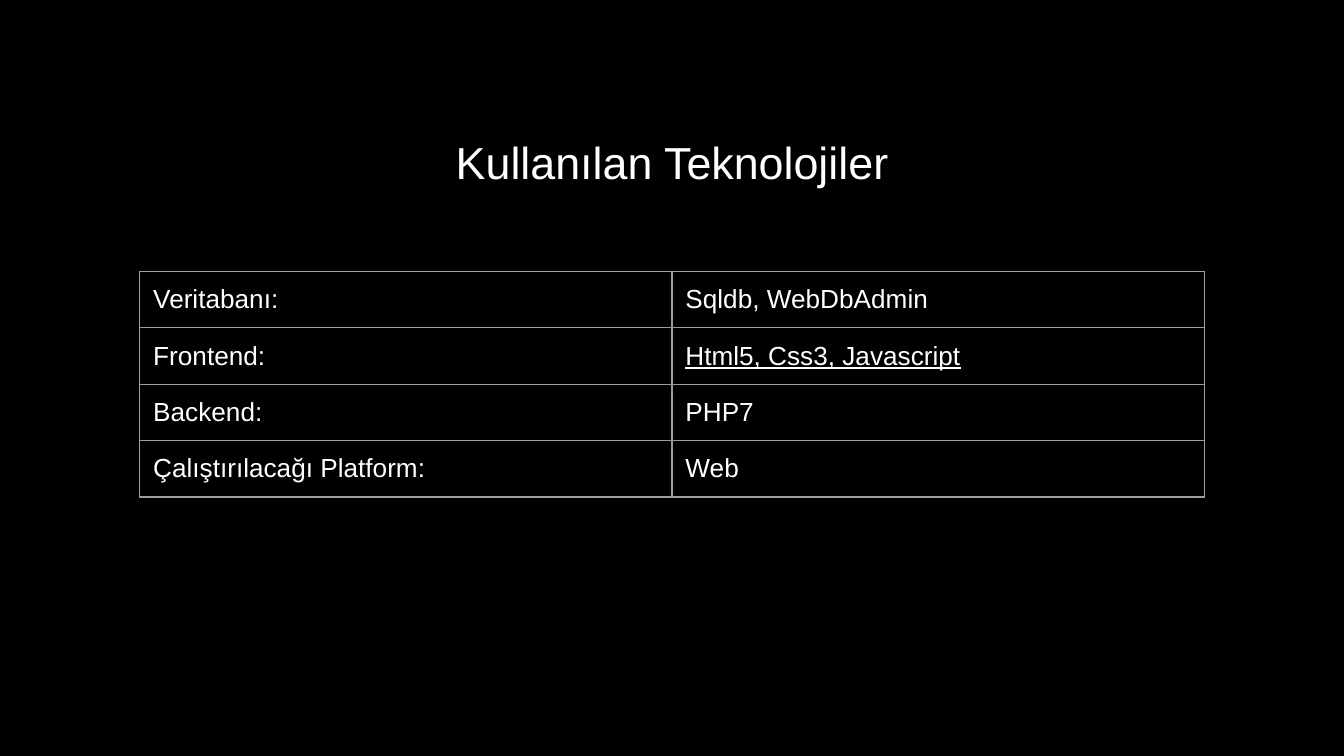
"""Build a slide with a title and a table of technologies."""
import pptx
import pptx.dml.color
import pptx.enum.text
import pptx.oxml.ns
import pptx.util
from lxml import etree

Inches = pptx.util.Inches
COLORS = {"back": "000000", "text": "FFFFFF", "line": "9E9E9E"}
FONT = "Arial"
TITLE = "Kullanılan Teknolojiler"
ROWS = [
    ("Veritabanı:", "Sqldb, WebDbAdmin"),
    ("Frontend:", "Html5, Css3, Javascript"),
    ("Backend:", "PHP7"),
    ("Çalıştırılacağı Platform:", "Web"),
]
LINED = {"Html5, Css3, Javascript"}


def color(name):
    """Return the named colour."""
    return pptx.dml.color.RGBColor.from_string(COLORS[name])


def style(frame, size, lined=False):
    """Format every run of a text frame."""
    for para in frame.paragraphs:
        for run in para.runs:
            font = run.font
            font.name = FONT
            font.size = pptx.util.Pt(size)
            font.color.rgb = color("text")
            font.underline = lined


def inset(item, gap):
    """Give a cell or text frame equal margins."""
    item.margin_left = item.margin_right = Inches(gap)
    item.margin_top = item.margin_bottom = Inches(gap)


def border(cell, width):
    """Draw a line on each side of a cell."""
    props = cell._tc.get_or_add_tcPr()
    qn = pptx.oxml.ns.qn
    for side in ("lnL", "lnR", "lnT", "lnB"):
        line = etree.SubElement(props, qn(f"a:{side}"), w=str(pptx.util.Pt(width)))
        fill = etree.SubElement(line, qn("a:solidFill"))
        etree.SubElement(fill, qn("a:srgbClr"), val=COLORS["line"])


def add_title(slide, left, top, width, height):
    """Place the centred title in its box."""
    title = slide.shapes.title
    title.left, title.top = Inches(left), Inches(top)
    title.width, title.height = Inches(width), Inches(height)
    frame = title.text_frame
    frame.text = TITLE
    frame.word_wrap = True
    frame.vertical_anchor = pptx.enum.text.MSO_ANCHOR.TOP
    frame.paragraphs[0].alignment = pptx.enum.text.PP_ALIGN.CENTER
    inset(frame, 0.1)
    style(frame, 24)


def add_grid(slide, left, top, width, height):
    """Place the table of technologies in its box."""
    shape = slide.shapes.add_table(
        len(ROWS), len(ROWS[0]),
        Inches(left), Inches(top), Inches(width), Inches(height))
    table = shape.table
    table.first_row = table.horz_banding = False
    for row, texts in enumerate(ROWS):
        for col, text in enumerate(texts):
            cell = table.cell(row, col)
            cell.text_frame.text = text
            inset(cell, 0.1)
            border(cell, 0.75)
            cell.fill.background()
            style(cell.text_frame, 14, text in LINED)


def main():
    """Build and save the deck."""
    deck = pptx.Presentation()
    deck.slide_width = Inches(10)
    deck.slide_height = deck.slide_width * 9 // 16
    slide = deck.slides.add_slide(deck.slide_layouts[5])
    back = slide.background.fill
    back.solid()
    back.fore_color.rgb = color("back")
    add_grid(slide, 1.04, 2.02, 7.92, 1.68)
    add_title(slide, 0.9, 0.9, 8.2, 0.62)
    deck.save("out.pptx")


if __name__ == "__main__":
    main()
